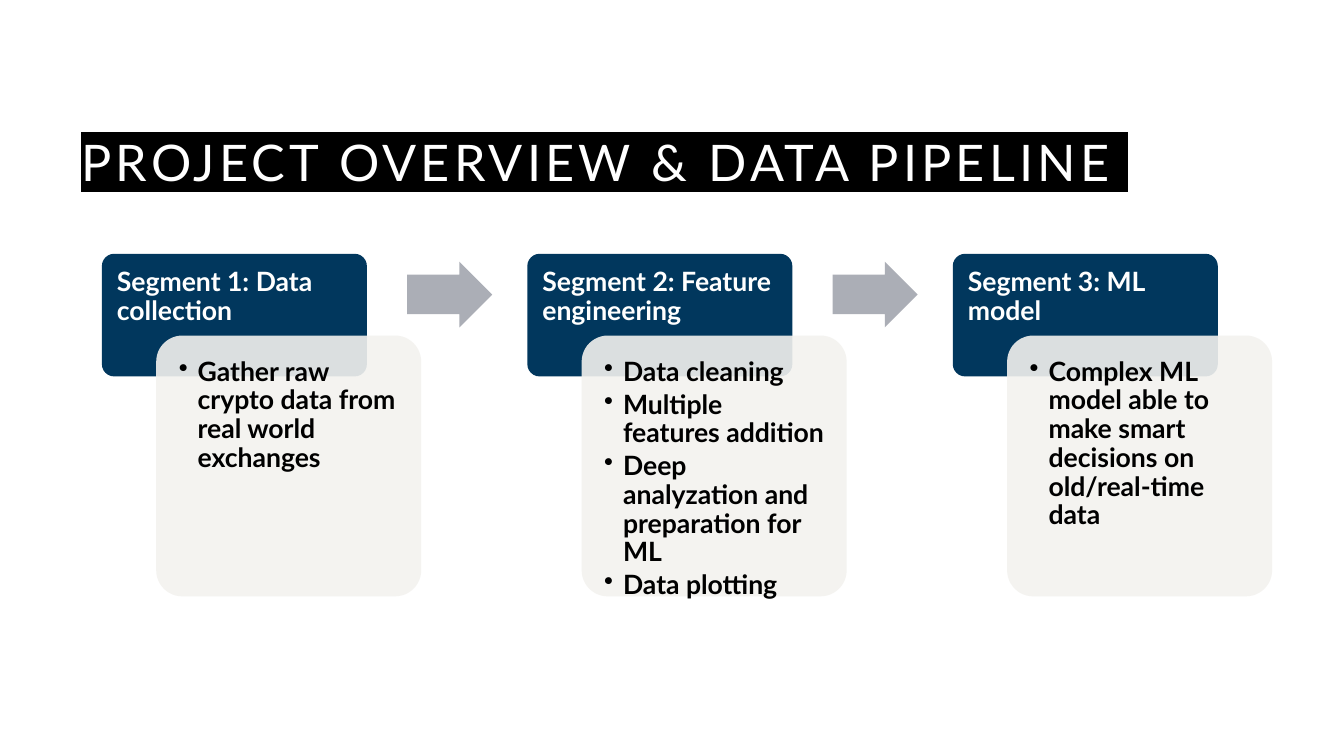
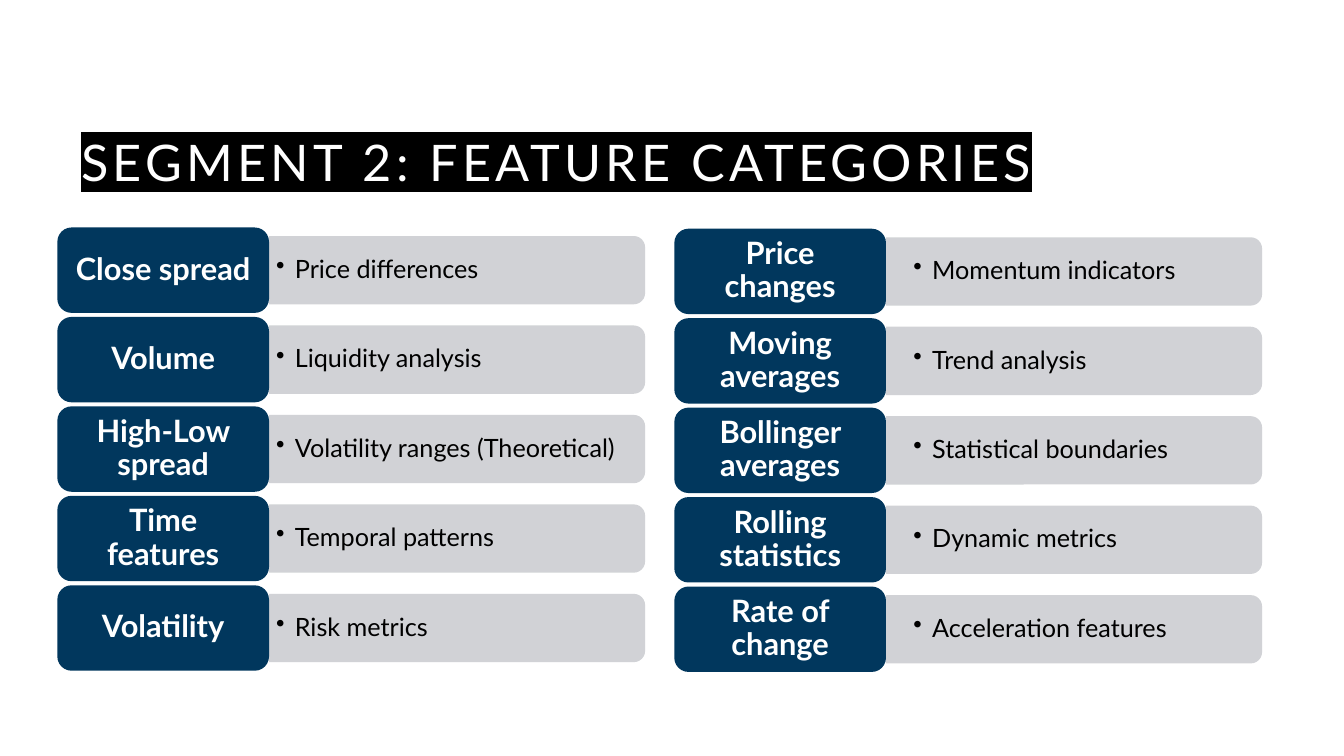
"""Build two slides on a data pipeline and its feature categories."""
from dataclasses import dataclass

from lxml.etree import SubElement
from pptx import Presentation
from pptx.dml.color import RGBColor
from pptx.enum.shapes import MSO_SHAPE as Shape
from pptx.enum.text import MSO_ANCHOR as Anchor, MSO_AUTO_SIZE as AutoSize, PP_ALIGN as Align
from pptx.oxml.ns import qn
from pptx.util import Pt

PIPELINE_TITLE = "PROJECT OVERVIEW & DATA PIPELINE "
SEGMENTS = [
    ("Segment 1: Data collection", ["Gather raw crypto data from real world exchanges"]),
    ("Segment 2: Feature engineering", [
        "Data cleaning",
        "Multiple features addition",
        "Deep analyzation and preparation for ML",
        "Data plotting",
    ]),
    ("Segment 3: ML model", [
        "Complex ML model able to make smart decisions on old/real-time data",
    ]),
]

FEATURE_TITLE = "SEGMENT 2: FEATURE CATEGORIES"
FEATURE_COLUMNS = [
    {"left": 41, "top": 162.5, "inset": 5, "rows": [
        ("Close spread", "Price differences"),
        ("Volume", "Liquidity analysis"),
        ("High-Low spread", "Volatility ranges (Theoretical)"),
        ("Time features", "Temporal patterns"),
        ("Volatility", "Risk metrics"),
    ]},
    {"left": 481.7, "top": 163.4, "inset": 19.5, "rows": [
        ("Price changes", "Momentum indicators"),
        ("Moving averages", "Trend analysis"),
        ("Bollinger averages", "Statistical boundaries"),
        ("Rolling statistics", "Dynamic metrics"),
        ("Rate of change", "Acceleration features"),
    ]},
]


@dataclass(frozen=True)
class Theme:
    """Colours, font and type sizes of the deck."""
    font: str = "Lato"
    navy: str = "01375D"
    card: str = "F3F2EF"
    bar: str = "CCCED2"
    arrow: str = "ABAEB6"
    white: str = "FFFFFF"
    black: str = "000000"
    title_size: float = 36
    segment_size: float = 19
    label_size: float = 22
    detail_size: float = 18
    bullet_indent: float = 13.5


THEME = Theme()


def add_span(para, text, size, color, bold=False):
    """Add one formatted run."""
    span = para.add_run()
    span.text = text
    span.font.size = Pt(size)
    span.font.bold = bold
    span.font.color.rgb = RGBColor.from_string(color)
    span.font.name = THEME.font
    return span


def add_block(page, kind, place, color, alpha=None, adjust=()):
    """Add a flat shape without outline."""
    block = page.shapes.add_shape(kind, *map(Pt, place))
    block.shadow.inherit = False
    block.line.fill.background()
    block.fill.solid()
    block.fill.fore_color.rgb = RGBColor.from_string(color)
    for index, value in enumerate(adjust):
        block.adjustments[index] = value
    if alpha is not None:
        tint = next(block.fill._xPr.iter(qn("a:srgbClr")))
        SubElement(tint, qn("a:alpha"), val=str(alpha * 1000))
    return block


def write(box, lines, size, color, insets, bold=False, bullet=False,
          align=Align.LEFT, anchor=Anchor.TOP):
    """Fill a shape with plain or bulleted paragraphs."""
    frame = box.text_frame
    frame.word_wrap = True
    frame.vertical_anchor = anchor
    across, down = map(Pt, insets)
    frame.margin_left = frame.margin_right = across
    frame.margin_top = frame.margin_bottom = down
    for index, text in enumerate(lines):
        para = frame.add_paragraph() if index else frame.paragraphs[0]
        para.alignment = align
        para.line_spacing = 0.9
        if bullet:
            para.space_after = Pt(3)
            props = para._p.get_or_add_pPr()
            props.set("marL", str(Pt(THEME.bullet_indent)))
            props.set("indent", str(-Pt(THEME.bullet_indent)))
            SubElement(props, qn("a:buChar"), char="•")
        add_span(para, text, size, color, bold)


def style_layout(layout):
    """Place the title for every slide."""
    title = layout.placeholders[0]
    title.left, title.top, title.width, title.height = map(Pt, (51, 51, 837, 90))
    title.text_frame.vertical_anchor = Anchor.BOTTOM
    title.text_frame.auto_size = AutoSize.NONE


def add_page(deck, layout, title):
    """Add a slide with a highlighted title."""
    page = deck.slides.add_slide(layout)
    para = page.shapes.title.text_frame.paragraphs[0]
    para.alignment = Align.LEFT
    para.line_spacing = 0.9
    span = add_span(para, title, THEME.title_size, THEME.white)
    props = span._r.get_or_add_rPr()
    props.set("spc", "300")
    highlight = SubElement(props, qn("a:highlight"))
    SubElement(highlight, qn("a:srgbClr"), val=THEME.black)
    props.find(qn("a:solidFill")).addnext(highlight)
    return page


def draw_pipeline(page):
    """Draw the segments with an arrow between neighbours."""
    left, top, width, pitch = 72.8, 181.3, 189.3, 303.9
    for index, (heading, points) in enumerate(SEGMENTS):
        x = left + index * pitch
        header = add_block(page, Shape.ROUNDED_RECTANGLE, (x, top, width, 87.6),
                           THEME.navy, adjust=[0.1])
        write(header, [heading], THEME.segment_size, THEME.white, (8.2, 8.2), bold=True)
        card = add_block(page, Shape.ROUNDED_RECTANGLE, (x + 38.8, top + 58.4, width, 186.3),
                         THEME.card, alpha=90, adjust=[0.1])
        write(card, points, THEME.segment_size, THEME.black, (10.7, 10.7),
              bold=True, bullet=True)
        if index < len(SEGMENTS) - 1:
            add_block(page, Shape.RIGHT_ARROW, (x + 218, top + 5.6, 60.8, 47),
                      THEME.arrow, adjust=[0.6, 0.5])


def draw_features(page):
    """Draw columns of labels, each with a bar to its right."""
    label_width, label_height, pitch = 151.2, 61, 63.9
    bar_width, bar_height = 268.6, 48.8
    for column in FEATURE_COLUMNS:
        left = column["left"]
        bar_left = left + label_width
        for index, (label, detail) in enumerate(column["rows"]):
            top = column["top"] + index * pitch
            middle = top + label_height / 2
            turned = (bar_left + (bar_width - bar_height) / 2, middle - bar_width / 2,
                      bar_height, bar_width)
            bar = add_block(page, Shape.ROUND_2_SAME_RECTANGLE, turned, THEME.bar, alpha=90)
            bar.rotation = 90
            box = page.shapes.add_textbox(*map(Pt, (bar_left, middle - 22, 266.4, 44)))
            write(box, [detail], THEME.detail_size, THEME.black, (column["inset"], 3),
                  bullet=True, anchor=Anchor.MIDDLE)
            tab = add_block(page, Shape.ROUNDED_RECTANGLE,
                            (left, top, label_width, label_height), THEME.navy)
            write(tab, [label], THEME.label_size, THEME.white, (6.5, 3.5), bold=True,
                  align=Align.CENTER, anchor=Anchor.MIDDLE)


def main():
    """Build and save the deck."""
    deck = Presentation()
    deck.slide_width, deck.slide_height = Pt(960), Pt(540)
    layout = deck.slide_layouts.get_by_name("Title Only")
    style_layout(layout)
    draw_pipeline(add_page(deck, layout, PIPELINE_TITLE))
    draw_features(add_page(deck, layout, FEATURE_TITLE))
    deck.save("out.pptx")


if __name__ == "__main__":
    main()
